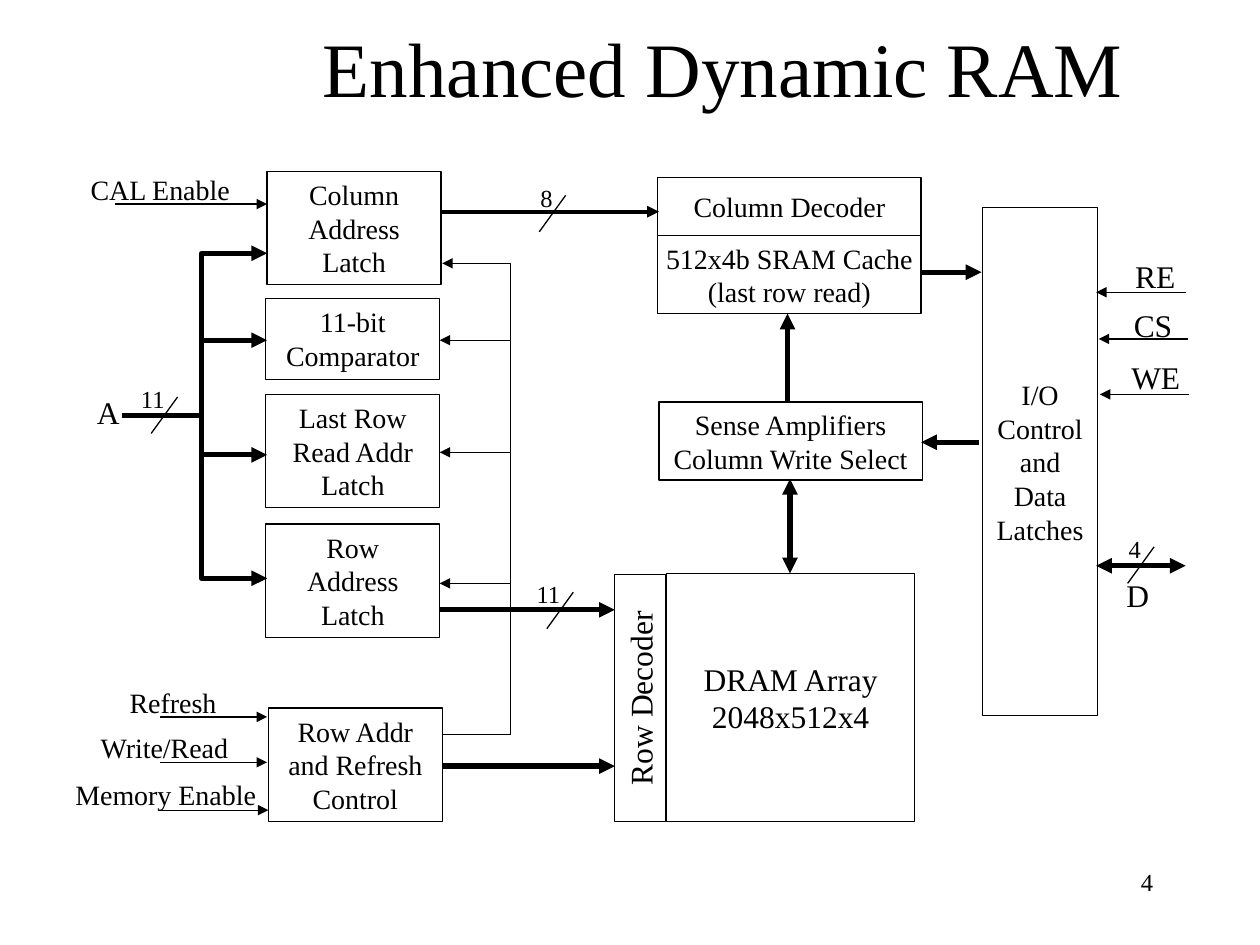
import pptx
import pptx.util
import pptx.dml.color
import pptx.enum.shapes
import pptx.enum.text
import pptx.oxml.ns
import lxml.etree

Inches = pptx.util.Inches
Align = pptx.enum.text.PP_ALIGN
Anchor = pptx.enum.text.MSO_ANCHOR
colors = {"ink": "000000"}
ink = pptx.dml.color.RGBColor.from_string(colors["ink"])
thin, medium, thick = 0.75, 2.25, 3


def write_text(shape, text, size, align, anchor=Anchor.TOP, wrap=True):
    frame = shape.text_frame
    frame.text = text
    frame.word_wrap = wrap
    frame.vertical_anchor = anchor
    for paragraph in frame.paragraphs:
        paragraph.alignment = align
        paragraph.font.name = "Times New Roman"
        paragraph.font.size = pptx.util.Pt(size)
        paragraph.font.color.rgb = ink


def style_line(shape, width, ends=""):
    shape.line.color.rgb = ink
    shape.line.width = pptx.util.Pt(width)
    outline = shape.line._get_or_add_ln()
    for end in ("head", "tail"):
        if end in ends:
            tag = pptx.oxml.ns.qn(f"a:{end}End")
            lxml.etree.SubElement(outline, tag, type="triangle")


deck = pptx.Presentation()
deck.slide_width = Inches(10)
deck.slide_height = Inches(7.5)
page = deck.slides.add_slide(deck.slide_layouts[6])
shapes = page.shapes

title = shapes.add_textbox(Inches(1.49), Inches(0), Inches(8.5), Inches(1.06))
write_text(title, "Enhanced Dynamic RAM", 44, Align.CENTER, Anchor.MIDDLE)
number = shapes.add_textbox(Inches(7.17), Inches(6.83), Inches(2.08), Inches(0.5))
write_text(number, "4", 14, Align.RIGHT)

wrapped_blocks = [
    ("Column\nAddress\nLatch", 2.12, 1.36, 1.38, 0.9, 16, 0),
    ("11-bit\nComparator", 2.11, 2.37, 1.38, 0.64, 16, 0),
    ("Last Row\nRead Addr\nLatch", 2.11, 3.13, 1.38, 0.9, 16, 0),
    ("Row\nAddress\nLatch", 2.11, 4.16, 1.38, 0.9, 16, 0),
    ("Row Addr\nand Refresh Control", 2.13, 5.62, 1.38, 0.9, 16, 0),
    ("Row Decoder", 4.1, 5.34, 1.96, 0.4, 18, 270),
]
centered_blocks = [
    ("DRAM Array\n2048x512x4", 5.29, 4.55, 1.97, 1.97, 18, 0),
    ("Sense Amplifiers\nColumn Write Select", 5.23, 3.19, 2.09, 0.62, 16, 0),
    ("512x4b SRAM Cache\n(last row read)", 5.22, 1.87, 2.09, 0.62, 16, 0),
    ("Column Decoder", 5.22, 1.41, 2.09, 0.46, 16, 0),
    ("I/O\nControl\nand\nData\nLatches", 7.8, 1.65, 0.91, 4.03, 16, 0),
]
for blocks, anchor, wrap in (
    (wrapped_blocks, Anchor.TOP, True),
    (centered_blocks, Anchor.MIDDLE, False),
):
    for text, left, top, width, height, size, rotation in blocks:
        box = shapes.add_shape(
            pptx.enum.shapes.MSO_SHAPE.RECTANGLE,
            Inches(left), Inches(top), Inches(width), Inches(height),
        )
        box.shadow.inherit = False
        box.fill.background()
        box.rotation = rotation
        style_line(box, thin)
        write_text(box, text, size, Align.CENTER, anchor, wrap)

routes = [
    ([(2.12, 2.01), (1.6, 2.01), (1.6, 4.59), (2.12, 4.59)], thick, "head tail"),
    ([(3.51, 5.83), (4.05, 5.83), (4.05, 2.09), (3.51, 2.09)], thin, "tail"),
]
for points, weight, ends in routes:
    corners = [(Inches(x), Inches(y)) for x, y in points]
    builder = shapes.build_freeform(*corners[0])
    builder.add_line_segments(corners[1:], close=False)
    route = builder.convert_to_shape()
    route.shadow.inherit = False
    route.fill.background()
    style_line(route, weight, ends)

wires = [
    (1.6, 3.3, 0.97, 3.3, thick, ""),
    (3.51, 6.08, 4.88, 6.08, thick, "tail"),
    (3.49, 4.84, 4.88, 4.84, thick, "tail"),
    (3.51, 1.68, 5.23, 1.68, medium, "tail"),
    (6.25, 3.19, 6.25, 2.49, thick, "tail"),
    (6.27, 3.8, 6.27, 4.55, thick, "head tail"),
    (7.31, 2.16, 7.79, 2.16, thick, "tail"),
    (7.77, 3.51, 7.31, 3.51, thick, "tail"),
    (9.41, 4.49, 8.7, 4.49, thick, "head tail"),
    (0.91, 1.62, 2.12, 1.62, thin, "tail"),
]
wires += [(1.6, y, 2.12, y, thick, "tail") for y in (2.7, 3.61)]
wires += [(4.05, y, 3.49, y, thin, "tail") for y in (2.7, 3.59, 4.63)]
wires += [(x, y, x + 0.85, y, thin, "tail")
          for x, y in ((1.27, 5.69), (1.27, 6.05), (1.28, 6.43))]
wires += [(x, y, x - 0.71, y, thin, "tail")
          for x, y in ((9.41, 2.32), (9.43, 2.69), (9.44, 3.13))]

bus_widths = [
    ("11", 1.02, 3, 0.39, 0.34, 14),
    ("11", 4.16, 4.55, 0.39, 0.34, 14),
    ("8", 4.19, 1.4, 0.3, 0.34, 14),
    ("4", 8.86, 4.19, 0.3, 0.34, 14),
]
for text, left, top, width, height, size in bus_widths:
    right = left + width
    wires.append((right, top + 0.15, right - 0.21, top + 0.44, thin, ""))

for x1, y1, x2, y2, weight, ends in wires:
    wire = shapes.add_connector(
        pptx.enum.shapes.MSO_CONNECTOR.STRAIGHT,
        Inches(x1), Inches(y1), Inches(x2), Inches(y2),
    )
    style_line(wire, weight, ends)
    lxml.etree.SubElement(wire._element.spPr, pptx.oxml.ns.qn("a:effectLst"))

signals = [
    ("CAL Enable", 0.62, 1.32, 1.31, 0.37, 16),
    ("Refresh", 0.93, 5.39, 0.89, 0.37, 16),
    ("Write/Read", 0.7, 5.75, 1.22, 0.37, 16),
    ("Memory Enable", 0.5, 6.12, 1.66, 0.37, 16),
    ("A", 0.67, 3.07, 0.38, 0.4, 18),
    ("RE", 8.91, 1.99, 0.52, 0.4, 18),
    ("CS", 8.9, 2.38, 0.53, 0.4, 18),
    ("WE", 8.88, 2.79, 0.59, 0.4, 18),
    ("D", 8.84, 4.52, 0.38, 0.4, 18),
]
for text, left, top, width, height, size in bus_widths + signals:
    label = shapes.add_textbox(Inches(left), Inches(top), Inches(width), Inches(height))
    write_text(label, text, size, Align.LEFT, wrap=False)
    label.text_frame.auto_size = pptx.enum.text.MSO_AUTO_SIZE.SHAPE_TO_FIT_TEXT

deck.save("out.pptx")
